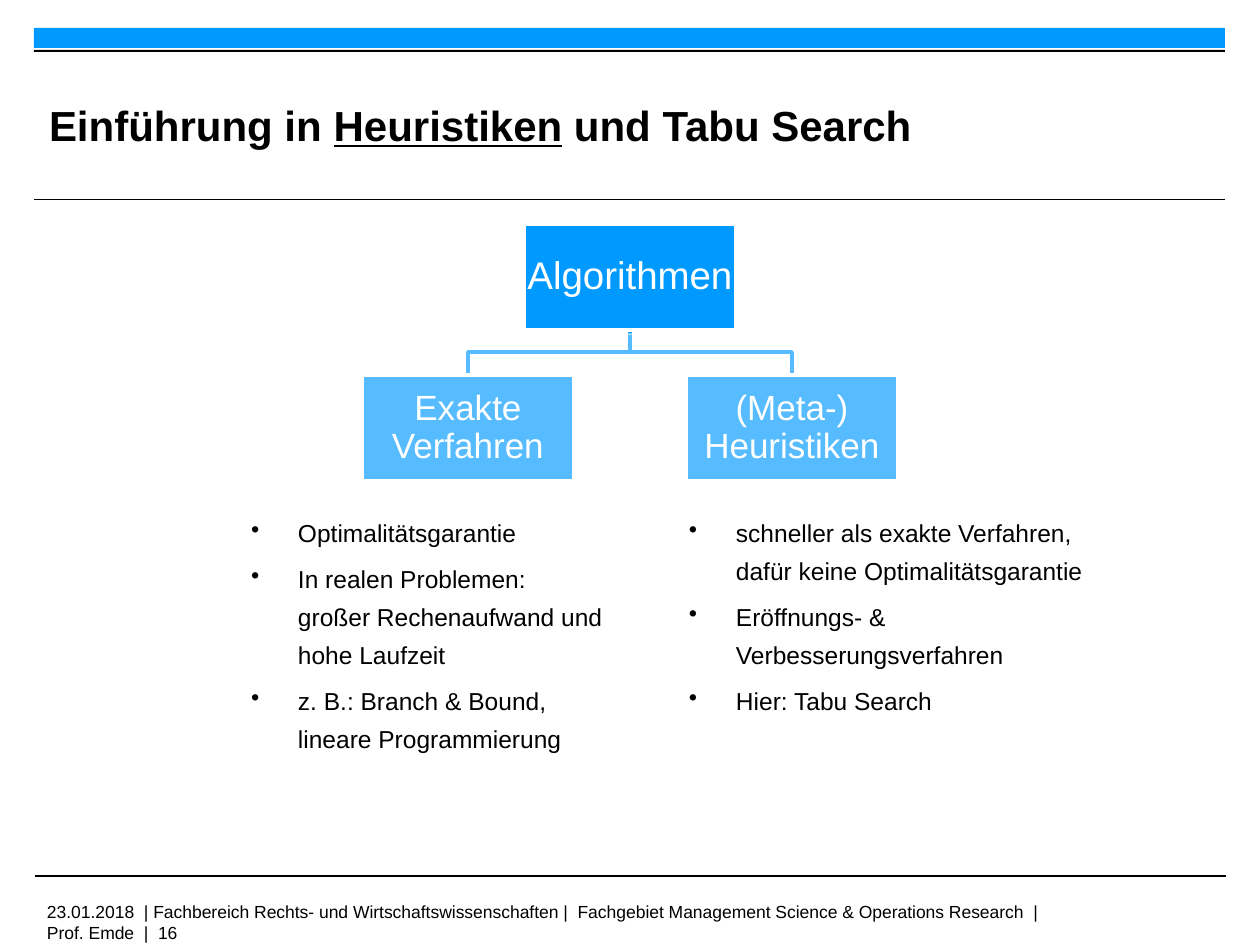
import pptx
import pptx.dml.color
import pptx.enum.shapes
import pptx.enum.text
import pptx.oxml
import pptx.oxml.ns
import pptx.util

RGBColor = pptx.dml.color.RGBColor
BLUE = RGBColor(0x00, 0x99, 0xFF)
BLACK = RGBColor(0, 0, 0)
WHITE = RGBColor(0xFF, 0xFF, 0xFF)
EMU_PER_PX = 914400 / 126
NSDECL = pptx.oxml.ns.nsdecls("a")

EXACT = ["Optimalitätsgarantie",
         "In realen Problemen:\vgroßer Rechenaufwand und hohe Laufzeit",
         "z. B.: Branch & Bound,\vlineare Programmierung"]
HEURISTIC = ["schneller als exakte Verfahren, dafür keine Optimalitätsgarantie",
             "Eröffnungs- & Verbesserungsverfahren",
             "Hier: Tabu Search"]
FOOTER = ("23.01.2018  | Fachbereich Rechts- und Wirtschaftswissenschaften |  "
          "Fachgebiet Management Science & Operations Research  |  Prof. Emde  |  16")


def px(*values):
    return [pptx.util.Emu(round(v * EMU_PER_PX)) for v in values]


class Deck:
    """Holds the style and the current slide; one method per kind of element."""
    font = "Arial"

    def __init__(self):
        self.prs = pptx.Presentation()
        self.prs.slide_width, self.prs.slide_height = px(1260, 945)
        self.s = self.prs.slides.add_slide(self.prs.slide_layouts[6])

    def run(self, p, text, size, color=BLACK, bold=None, underline=None):
        r = p.add_run()
        r.text = text
        f = r.font
        f.name, f.size, f.bold, f.underline = self.font, pptx.util.Pt(size), bold, underline
        f.color.rgb = color

    def rect(self, x, y, w, h, fill, line=None, width=2):
        sp = self.s.shapes.add_shape(pptx.enum.shapes.MSO_SHAPE.RECTANGLE, *px(x, y, w, h))
        sp.shadow.inherit = False
        sp.fill.solid()
        sp.fill.fore_color.rgb = fill
        if line is None:
            sp.line.fill.background()
        else:
            sp.line.color.rgb = line
            sp.line.width = pptx.util.Pt(width)
        return sp

    def veil(self, x, y, w, h, fill_alpha, line_alpha):
        """White see-through panel that fades what lies beneath it."""
        sp = self.rect(x, y, w, h, WHITE, WHITE, 1.25)
        colors = sp._element.spPr.iter(pptx.oxml.ns.qn("a:srgbClr"))
        for color, alpha in zip(colors, (fill_alpha, line_alpha)):
            color.append(pptx.oxml.parse_xml(f'<a:alpha {NSDECL} val="{alpha * 1000}"/>'))

    def rule(self, x, y, w):
        c = self.s.shapes.add_connector(
            pptx.enum.shapes.MSO_CONNECTOR.STRAIGHT, *px(x, y, x + w, y))
        c.line.color.rgb = BLACK
        c.line.width = pptx.util.Pt(0.6)
        c._element.spPr.append(pptx.oxml.parse_xml(f"<a:effectLst {NSDECL}/>"))

    def branch(self, x1, y1, x2, y2):
        """Elbow from a parent's bottom to a child's top."""
        mid = (y1 + y2) // 2
        fb = self.s.shapes.build_freeform(x1, y1, scale=EMU_PER_PX)
        fb.add_line_segments([(x1, mid), (x2, mid), (x2, y2)], close=False)
        sp = fb.convert_to_shape()
        sp.shadow.inherit = False
        sp.fill.background()
        sp.line.color.rgb = BLUE
        sp.line.width = pptx.util.Pt(2)

    def node(self, x, y, w, h, text, size):
        tf = self.rect(x, y, w, h, BLUE, WHITE).text_frame
        tf.word_wrap = True
        tf.vertical_anchor = pptx.enum.text.MSO_ANCHOR.MIDDLE
        tf.margin_left, tf.margin_right, tf.margin_top, tf.margin_bottom = px(2, 2, 2, 2)
        p = tf.paragraphs[0]
        p.alignment = pptx.enum.text.PP_ALIGN.CENTER
        p.line_spacing = 0.9
        self.run(p, text, size, WHITE)

    def text_box(self, x, y, w, h, margin_x=0, margin_y=0):
        tf = self.s.shapes.add_textbox(*px(x, y, w, h)).text_frame
        tf.word_wrap = True
        tf.margin_left, tf.margin_right = px(margin_x, margin_x)
        tf.margin_top, tf.margin_bottom = px(margin_y, margin_y)
        return tf

    def bullets(self, x, y, w, h, items):
        tf = self.text_box(x, y, w, h, margin_y=6)
        indent, = px(47)
        for i, item in enumerate(items):
            p = tf.add_paragraph() if i else tf.paragraphs[0]
            pPr = p._p.get_or_add_pPr()
            pPr.set("marL", str(indent))
            pPr.set("indent", str(-indent))
            pPr.append(pptx.oxml.parse_xml(f'<a:buChar {NSDECL} char="•"/>'))
            p.line_spacing = 1.3
            p.space_before = pptx.util.Pt(2 if i else 0)
            p.space_after = pptx.util.Pt(2.3)
            for j, part in enumerate(item.split("\v")):
                if j:
                    p.add_line_break()
                self.run(p, part, 14)


def main():
    d = Deck()
    d.rect(34, 28, 1191, 20, BLUE)
    d.rect(34, 50, 1191, 2, BLACK)
    d.rule(34, 200, 1191)
    d.rule(35, 876, 1191)
    d.run(d.text_box(35, 895, 1022, 32, 12, 6).paragraphs[0], FOOTER, 10)

    tf = d.text_box(49, 67, 915, 116)
    tf.vertical_anchor = pptx.enum.text.MSO_ANCHOR.MIDDLE
    for text, underline in (("Einführung in ", None), ("Heuristiken", True),
                            (" und Tabu Search", None)):
        d.run(tf.paragraphs[0], text, 24, bold=True, underline=underline)

    node_w, node_h, root_y, child_y = 212, 106, 224, 375
    center, spread = 630, 162
    children = ((center - spread, "Exakte Verfahren"),
                (center + spread, "(Meta-) Heuristiken"))
    for x, _ in children:
        d.branch(center, root_y + node_h, x, child_y)
    d.node(center - node_w // 2, root_y, node_w, node_h, "Algorithmen", 22)
    for x, text in children:
        d.node(x - node_w // 2, child_y, node_w, node_h, text, 20)

    d.bullets(251, 503, 382, 319, EXACT)
    d.bullets(689, 503, 397, 319, HEURISTIC)
    d.veil(307, 334, 764, 159, 34, 46)
    d.prs.save("out.pptx")


if __name__ == "__main__":
    main()
